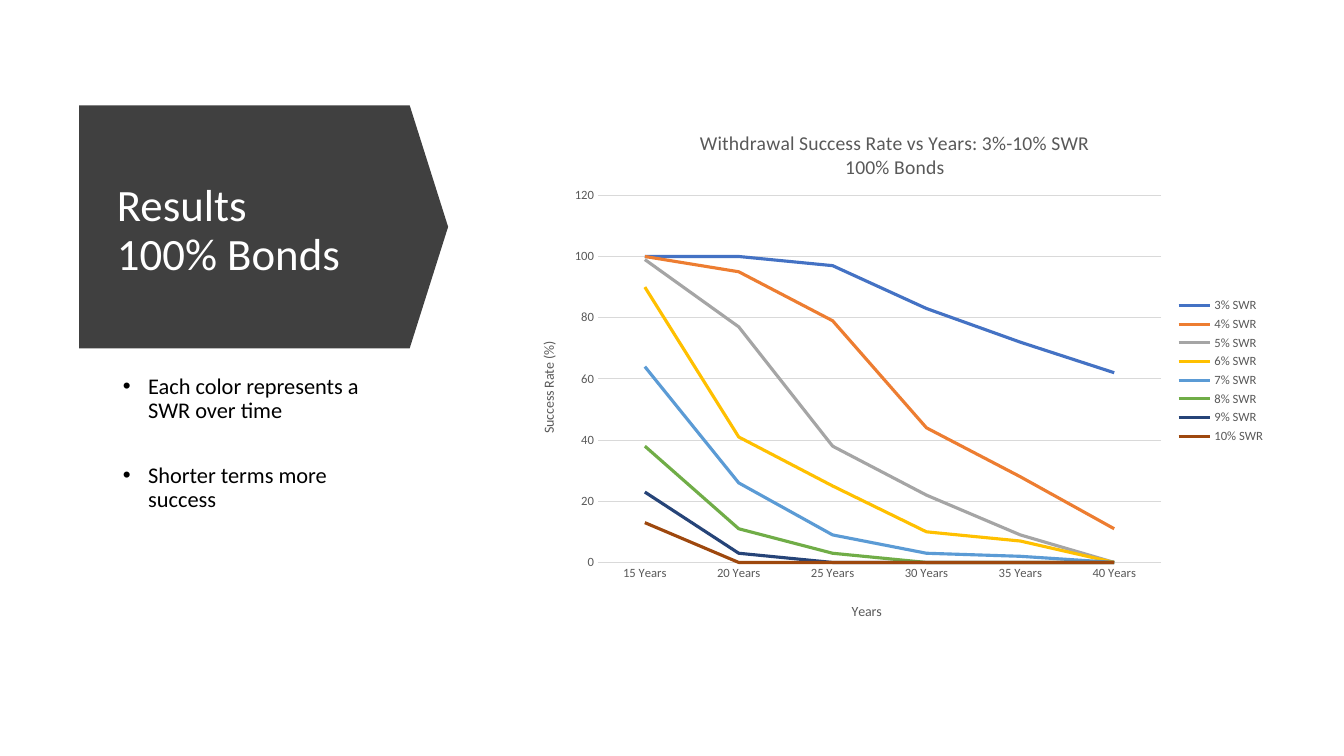
from dataclasses import dataclass

import pptx
import pptx.chart.data
import pptx.dml.color
import pptx.enum.chart
import pptx.enum.shapes
import pptx.enum.text
import pptx.oxml
import pptx.oxml.ns
import pptx.util
from pptx.util import Inches, Pt

TITLE = "Results\v100% Bonds"
BULLETS = ["Each color represents a SWR over time", "Shorter terms more success"]
CHART_TITLE = "Withdrawal Success Rate vs Years: 3%-10% SWR\n100% Bonds"
CATEGORY_TITLE = "Years"
VALUE_TITLE = "Success Rate (%)"
YEARS = [15, 20, 25, 30, 35, 40]
# Withdrawal rate in percent, success rate for each term, line colour
SUCCESS_RATES = [
    (3, (100, 100, 97, 83, 72, 62), "4472C4"),
    (4, (100, 95, 79, 44, 28, 11), "ED7D31"),
    (5, (99, 77, 38, 22, 9, 0), "A5A5A5"),
    (6, (90, 41, 25, 10, 7, 0), "FFC000"),
    (7, (64, 26, 9, 3, 2, 0), "5B9BD5"),
    (8, (38, 11, 3, 0, 0, 0), "70AD47"),
    (9, (23, 3, 0, 0, 0, 0), "264478"),
    (10, (13, 0, 0, 0, 0, 0), "9E480E"),
]


@dataclass(frozen=True)
class Theme:
    font: str = "Calibri"
    banner: str = "404040"
    title: str = "FFFFFF"
    body: str = "000000"
    chart_text: str = "595959"
    grid: str = "D9D9D9"
    title_size: float = 32
    body_size: float = 16
    chart_title_size: float = 14
    axis_title_size: float = 10
    label_size: float = 9
    grid_width: float = 0.75
    series_width: float = 2.25


THEME = Theme()


def rgb(color):
    return pptx.dml.color.RGBColor.from_string(color)


def style_font(font, size, color):
    font.name = THEME.font
    font.size = Pt(size)
    font.bold = False
    font.color.rgb = rgb(color)


def style_line(line, color, width):
    line.color.rgb = rgb(color)
    line.width = Pt(width)


def place(shape, left, top, width, height):
    shape.left, shape.top = Inches(left), Inches(top)
    shape.width, shape.height = Inches(width), Inches(height)


def set_layout(element, index, **fractions):
    """Position a chart part by fractions of the chart area."""
    for layout in element.findall(pptx.oxml.ns.qn("c:layout")):
        element.remove(layout)
    modes = {"xMode": "edge", "yMode": "edge"}
    if "w" in fractions:
        modes = {"layoutTarget": "inner", **modes}
    settings = "".join(
        f'<c:{name} val="{value}"/>' for name, value in {**modes, **fractions}.items()
    )
    element.insert(index, pptx.oxml.parse_xml(
        f'<c:layout {pptx.oxml.ns.nsdecls("c")}>'
        f"<c:manualLayout>{settings}</c:manualLayout></c:layout>"
    ))


def write_chart_title(title, text, size, x, y):
    title.text_frame.text = text
    for paragraph in title.text_frame.paragraphs:
        style_font(paragraph.font, size, THEME.chart_text)
    set_layout(title.element, 1, x=x, y=y)


def add_banner(slide):
    """Add the arrow and keep it behind the placeholders."""
    banner = slide.shapes.add_shape(
        pptx.enum.shapes.MSO_SHAPE.DOWN_ARROW,
        Inches(1.41), Inches(0.42), Inches(2.41), Inches(3.66),
    )
    banner.rotation = 270
    banner.adjustments[0] = 1
    banner.adjustments[1] = 0.158
    banner.shadow.inherit = False
    banner.fill.solid()
    banner.fill.fore_color.rgb = rgb(THEME.banner)
    banner.line.fill.background()
    slide.shapes.title.element.addprevious(banner.element)


def fill_title(title):
    place(title, 1.06, 1.32, 2.92, 1.95)
    frame = title.text_frame
    frame.text = TITLE
    frame.word_wrap = True
    frame.auto_size = pptx.enum.text.MSO_AUTO_SIZE.NONE
    frame.vertical_anchor = pptx.enum.text.MSO_ANCHOR.MIDDLE
    paragraph = frame.paragraphs[0]
    paragraph.alignment = pptx.enum.text.PP_ALIGN.LEFT
    paragraph.line_spacing = 0.9
    style_font(paragraph.font, THEME.title_size, THEME.title)


def fill_bullets(body):
    place(body, 1.06, 3.67, 2.92, 2.65)
    frame = body.text_frame
    frame.text = "\n".join(BULLETS)
    frame.word_wrap = True
    frame.auto_size = pptx.enum.text.MSO_AUTO_SIZE.NONE
    for paragraph in frame.paragraphs:
        paragraph.line_spacing = 0.9
        paragraph.space_before = Pt(0)
        paragraph.space_after = Pt(29)
        style_font(paragraph.font, THEME.body_size, THEME.body)
        properties = paragraph._p.get_or_add_pPr()
        properties.set("marL", str(Inches(0.31)))
        properties.set("indent", str(Inches(-0.25)))


def add_success_chart(slide):
    data = pptx.chart.data.CategoryChartData()
    data.categories = [f"{years} Years" for years in YEARS]
    for rate, values, _ in SUCCESS_RATES:
        data.add_series(f"{rate}% SWR", values)
    chart = slide.shapes.add_chart(
        pptx.enum.chart.XL_CHART_TYPE.LINE,
        Inches(5.1), Inches(1.04), Inches(7.55), Inches(5.28), data,
    ).chart
    style_font(chart.font, THEME.label_size, THEME.chart_text)
    for series, (_, _, color) in zip(chart.plots[0].series, SUCCESS_RATES):
        series.smooth = False
        style_line(series.format.line, color, THEME.series_width)
    chart.plots[0].vary_by_categories = False

    category_axis, value_axis = chart.category_axis, chart.value_axis
    for axis in (category_axis, value_axis):
        axis.major_tick_mark = pptx.enum.chart.XL_TICK_MARK.NONE
        axis.minor_tick_mark = pptx.enum.chart.XL_TICK_MARK.NONE
        style_font(axis.tick_labels.font, THEME.label_size, THEME.chart_text)
    style_line(category_axis.format.line, THEME.grid, THEME.grid_width)
    value_axis.format.line.fill.background()
    value_axis.minimum_scale, value_axis.maximum_scale = 0, 120
    value_axis.major_unit = 20
    style_line(value_axis.major_gridlines.format.line, THEME.grid, THEME.grid_width)

    chart.has_legend = True
    chart.legend.position = pptx.enum.chart.XL_LEGEND_POSITION.RIGHT
    chart.legend.include_in_layout = False
    style_font(chart.legend.font, THEME.label_size, THEME.chart_text)

    write_chart_title(chart.chart_title, CHART_TITLE, THEME.chart_title_size, 0.24, 0.04)
    write_chart_title(
        category_axis.axis_title, CATEGORY_TITLE, THEME.axis_title_size, 0.44, 0.93)
    write_chart_title(
        value_axis.axis_title, VALUE_TITLE, THEME.axis_title_size, 0.03, 0.44)
    plot_area = chart.element.find(".//" + pptx.oxml.ns.qn("c:plotArea"))
    set_layout(plot_area, 0, x=0.11, y=0.17, w=0.74, h=0.69)


def main():
    presentation = pptx.Presentation()
    presentation.slide_width, presentation.slide_height = Inches(13.33), Inches(7.5)
    slide = presentation.slides.add_slide(presentation.slide_layouts[1])
    add_banner(slide)
    fill_title(slide.shapes.title)
    fill_bullets(slide.placeholders[1])
    add_success_chart(slide)
    presentation.save("out.pptx")


if __name__ == "__main__":
    main()
